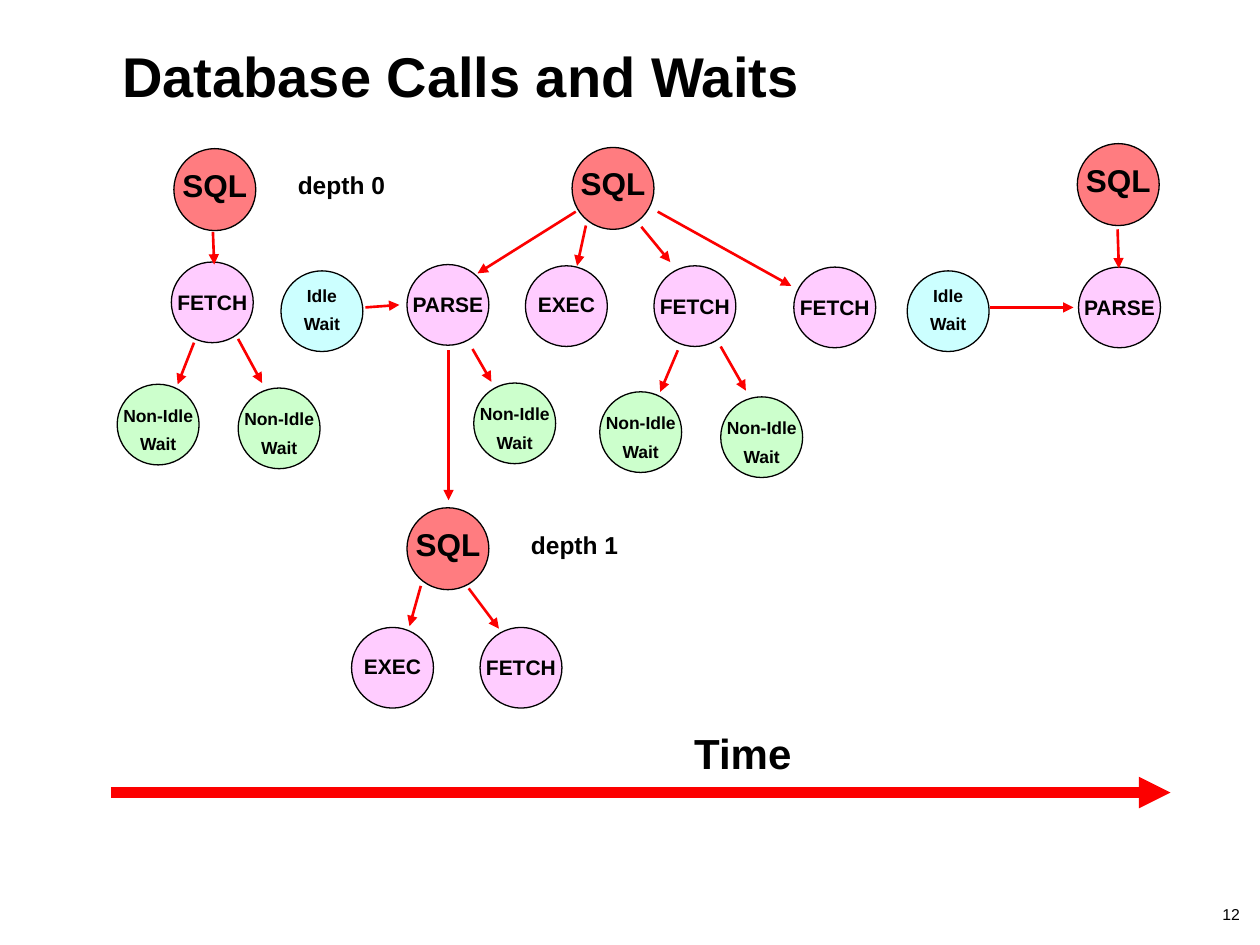
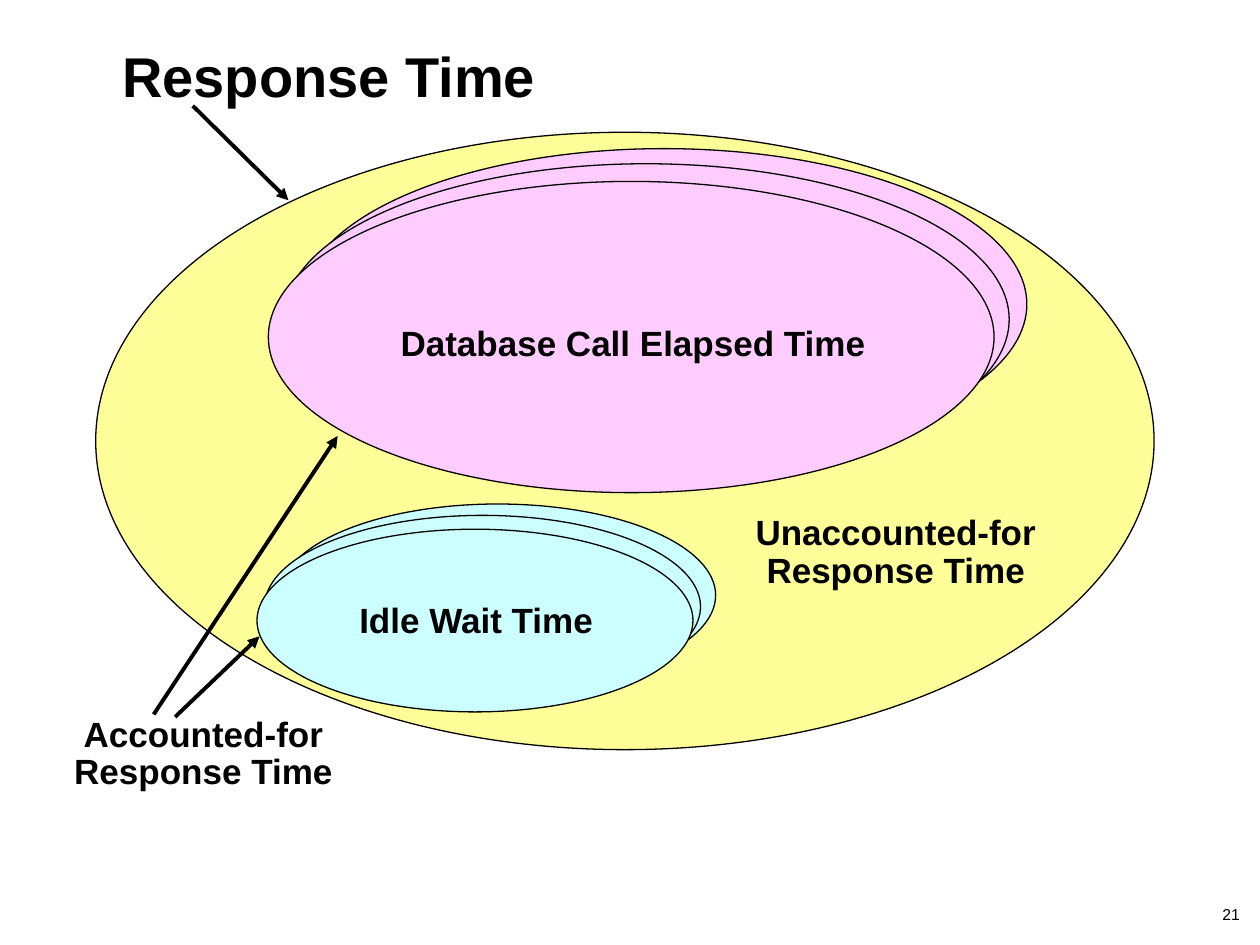
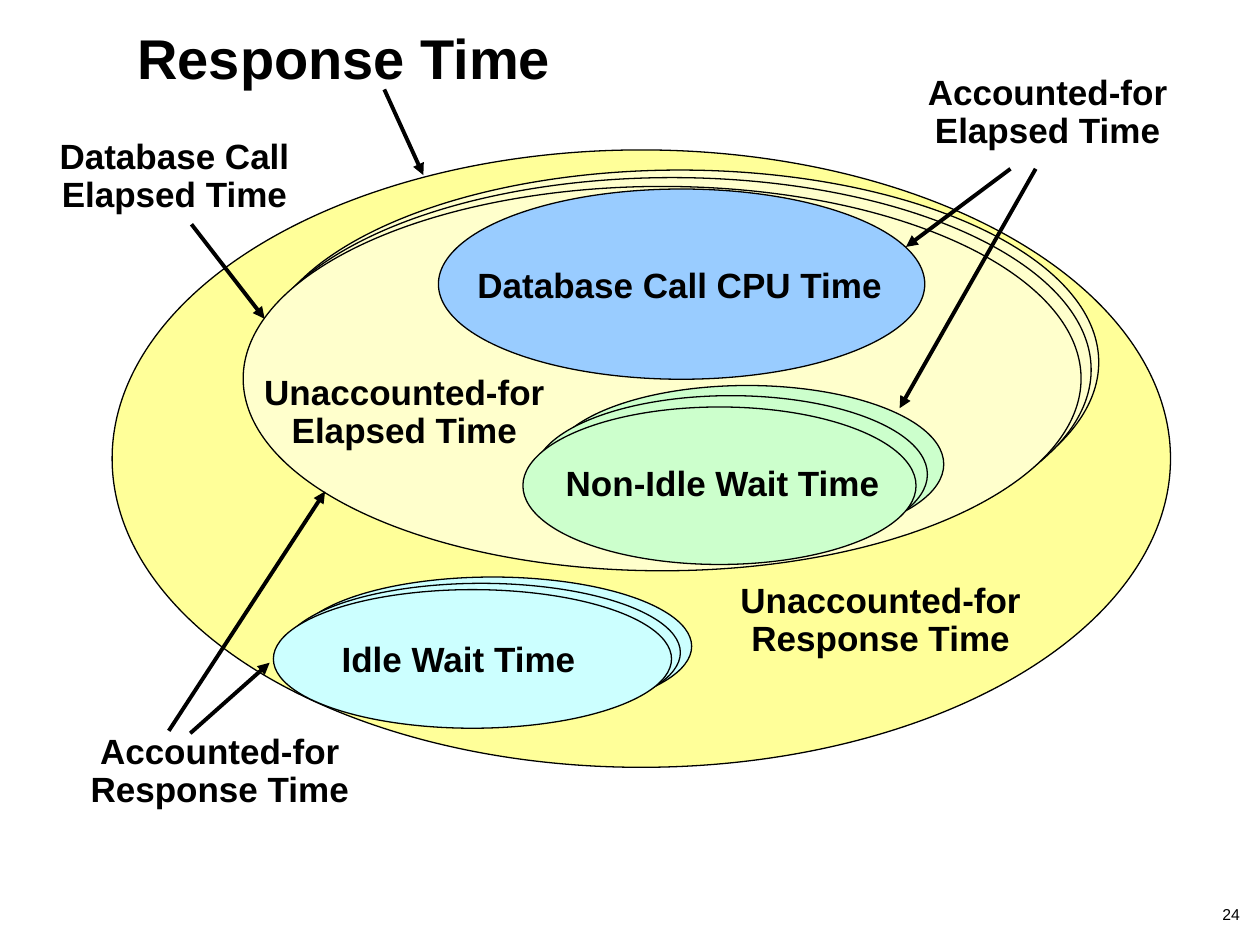
import dataclasses
import typing

import pptx
import pptx.dml.color
import pptx.enum.shapes
import pptx.enum.text
import pptx.oxml
import pptx.oxml.ns
import pptx.util

RGBColor = pptx.dml.color.RGBColor
ALIGN = pptx.enum.text.PP_ALIGN
ANCHOR = pptx.enum.text.MSO_ANCHOR

BLACK = RGBColor(0x00, 0x00, 0x00)
RED = RGBColor(0xFC, 0x00, 0x00)
CORAL = RGBColor(0xFF, 0x7C, 0x80)
PINK = RGBColor(0xFF, 0xCC, 0xFF)
GREEN = RGBColor(0xCC, 0xFF, 0xCC)
CYAN = RGBColor(0xCC, 0xFF, 0xFF)
BLUE = RGBColor(0x99, 0xCC, 0xFF)
YELLOW = RGBColor(0xFF, 0xFF, 0x99)
CREAM = RGBColor(0xFF, 0xFF, 0xCC)

FONT = "Arial"
PX = pptx.util.Inches(1) // 100
ARROW_LINE = f'<a:ln {pptx.oxml.ns.nsdecls("a")}><a:tailEnd type="triangle"/></a:ln>'
NO_EFFECTS = f'<a:effectLst {pptx.oxml.ns.nsdecls("a")}/>'

# kind: (lines of text, fill, height, text size, text offset, text height)
NODE_KINDS = {
    "sql": (["SQL"], CORAL, 65, 18, 12, 37),
    "parse": (["PARSE"], PINK, 64, 12, 19, 28),
    "exec": (["EXEC"], PINK, 64, 12, 18, 28),
    "fetch": (["FETCH"], PINK, 64, 12, 19, 28),
    "idle": (["Idle", "Wait"], CYAN, 64, 10, 8, 48),
    "non-idle": (["Non-Idle", "Wait"], GREEN, 64, 10, 13, 48),
}
NODE_WIDTH = 65
NODE_TEXT_WIDTH = 105


def px(*lengths):
    return [length * PX for length in lengths]


def assign(target, values):
    for name, value in values.items():
        setattr(target, name, value)


@dataclasses.dataclass
class Region:
    """Part of a page; everything drawn in it is placed from its top left corner."""
    page: typing.Any
    left: int = 0
    top: int = 0

    def at(self, x, y):
        return px(self.left + x, self.top + y)

    def text(self, lines, x, y, width, height, size, bold=True, frame_format=None,
             para_format=None):
        box = self.page.shapes.add_textbox(*self.at(x, y), *px(width, height))
        frame = box.text_frame
        assign(frame, {"word_wrap": True, **(frame_format or {})})
        for index, line in enumerate(lines):
            para = frame.paragraphs[0] if index == 0 else frame.add_paragraph()
            assign(para, para_format or {})
            if index:
                para.space_before = pptx.util.Pt(0.55 * size)
            span = para.add_run()
            span.text = line
            assign(span.font, {"name": FONT, "size": pptx.util.Pt(size), "bold": bold})
            span.font.color.rgb = BLACK

    def label(self, lines, x, y, width, height=40, size=20):
        self.text(lines, x, y, width, height, size,
                  frame_format={"auto_size": pptx.enum.text.MSO_AUTO_SIZE.SHAPE_TO_FIT_TEXT},
                  para_format={"alignment": ALIGN.CENTER, "line_spacing": 0.9})

    def ellipse(self, color, x, y, width, height):
        oval = self.page.shapes.add_shape(pptx.enum.shapes.MSO_SHAPE.OVAL,
                                          *self.at(x, y), *px(width, height))
        oval.shadow.inherit = False
        oval.fill.solid()
        oval.fill.fore_color.rgb = color
        oval.line.color.rgb = BLACK
        oval.line.width = pptx.util.Pt(0.75)

    def stack(self, color, width, height, corners):
        for corner in corners:
            self.ellipse(color, *corner, width, height)

    def arrow(self, x1, y1, x2, y2, color=BLACK, weight=2.25):
        line = self.page.shapes.add_connector(pptx.enum.shapes.MSO_CONNECTOR.STRAIGHT,
                                              *self.at(x1, y1), *self.at(x2, y2))
        properties = line._element.spPr
        properties.append(pptx.oxml.parse_xml(ARROW_LINE))
        properties.append(pptx.oxml.parse_xml(NO_EFFECTS))
        line.line.color.rgb = color
        line.line.width = pptx.util.Pt(weight)

    def node(self, kind, x, y):
        lines, color, height, size, text_top, text_height = NODE_KINDS[kind]
        self.ellipse(color, x, y, NODE_WIDTH, height)
        self.label(lines, x + (NODE_WIDTH - NODE_TEXT_WIDTH) // 2, y + text_top,
                   NODE_TEXT_WIDTH, text_height, size)


def add_page(deck, number):
    page = deck.slides.add_slide(deck.slide_layouts[6])
    Region(page).text([str(number)], 17, 717, 967, 17, 9, bold=False,
                      frame_format={**flush_margins(), "vertical_anchor": ANCHOR.MIDDLE},
                      para_format={"alignment": ALIGN.RIGHT})
    return page


def flush_margins():
    return {f"margin_{side}": 0 for side in ("left", "top", "right", "bottom")}


def add_title(page, title, x, y):
    Region(page).text([title], x, y, 829, 103, 32, frame_format=flush_margins())


def call_tree(region, nodes, arrows, depth=None):
    """Draw an SQL circle at the corner of the region and the calls around it."""
    region.node("sql", 0, 0)
    for node in nodes:
        region.node(*node)
    for ends in arrows:
        region.arrow(*ends, color=RED, weight=1.5)
    if depth is not None:
        region.label([f"depth {depth}"], 81, 15, 104, 31, 14)


def time_axis(region):
    region.arrow(0, 52, 841, 52, color=RED, weight=6)
    region.label(["Time"], 321, 0, 361, 46, 24)


def calls_page(deck):
    page = add_page(deck, 12)
    add_title(page, "Database Calls and Waits", 97, 33)
    time_axis(Region(page, 88, 577))
    call_tree(
        Region(page, 138, 118),
        [("fetch", -2, 90), ("non-idle", -45, 187), ("non-idle", 51, 190)],
        [(31, 66, 32, 92), (51, 151, 70, 186), (16, 154, 3, 187)],
        depth=0)
    call_tree(
        Region(page, 454, 117),
        [("fetch", 176, 95), ("fetch", 65, 94), ("exec", -37, 94), ("parse", -131, 93),
         ("idle", -231, 98), ("non-idle", -78, 187), ("non-idle", 22, 194),
         ("non-idle", 118, 198)],
        [(11, 62, 4, 94), (-98, 161, -98, 280), (3, 51, -75, 100), (55, 63, 78, 91),
         (68, 51, 174, 110), (-79, 160, -64, 186), (-164, 127, -137, 125),
         (118, 158, 138, 193), (84, 161, 70, 194)])
    call_tree(
        Region(page, 323, 403),
        [("exec", -44, 95), ("fetch", 58, 95)],
        [(11, 62, 2, 94), (49, 64, 73, 96)],
        depth=1)
    call_tree(
        Region(page, 855, 114),
        [("parse", 1, 98), ("idle", -135, 101)],
        [(32, 68, 33, 99), (-69, 130, -3, 130)])


def response_time(region, stacks, labels, arrows):
    """Draw the response time ellipse, what it holds, and the accounted-for label."""
    region.ellipse(YELLOW, 0, 0, 840, 490)
    for stack in stacks:
        region.stack(*stack)
    region.label(["Accounted-for Response Time"], -61, 459, 293, 70)
    for label in labels:
        region.label(*label)
    for ends in arrows:
        region.arrow(*ends)


def elapsed_page(deck):
    page = add_page(deck, 21)
    response_time(
        Region(page, 76, 105),
        [(CYAN, 346, 145, [(146, 295), (134, 304), (128, 315)]),
         (PINK, 576, 247, [(163, 13), (149, 25), (137, 39)])],
        [(["Database Call Elapsed Time"], 203, 149, 447),
         (["Idle Wait Time"], 139, 369, 326),
         (["Unaccounted-for Response Time"], 472, 299, 326, 70)],
        [(46, 462, 192, 241), (63, 464, 130, 400), (77, -21, 153, 54)])
    add_title(page, "Response Time", 97, 33)


def breakdown_page(deck):
    page = add_page(deck, 24)
    response_time(
        Region(page, 89, 119),
        [(CYAN, 316, 110, [(144, 339), (135, 344), (128, 349)]),
         (CREAM, 665, 305, [(118, 16), (112, 22), (104, 29)]),
         (GREEN, 312, 125, [(348, 187), (335, 195), (326, 204)]),
         (BLUE, 386, 151, [(259, 31)])],
        [(["Database Call Elapsed Time"], -81, -13, 261, 70),
         (["Idle Wait Time"], 112, 386, 326),
         (["Unaccounted-for Response Time"], 447, 339, 326, 70),
         (["Non-Idle Wait Time"], 321, 246, 327),
         (["Database Call CPU Time"], 259, 89, 383),
         (["Unaccounted-for Elapsed Time"], 69, 174, 326, 70),
         (["Accounted-for Elapsed Time"], 596, -64, 293, 70)],
        [(45, 461, 169, 271), (62, 463, 125, 407), (216, -48, 247, 20),
         (63, 59, 121, 134), (733, 15, 625, 205), (713, 15, 630, 77)])
    add_title(page, "Response Time", 109, 19)


def main():
    deck = pptx.Presentation()
    deck.slide_width, deck.slide_height = px(1000, 750)
    calls_page(deck)
    elapsed_page(deck)
    breakdown_page(deck)
    deck.save("out.pptx")


if __name__ == "__main__":
    main()
